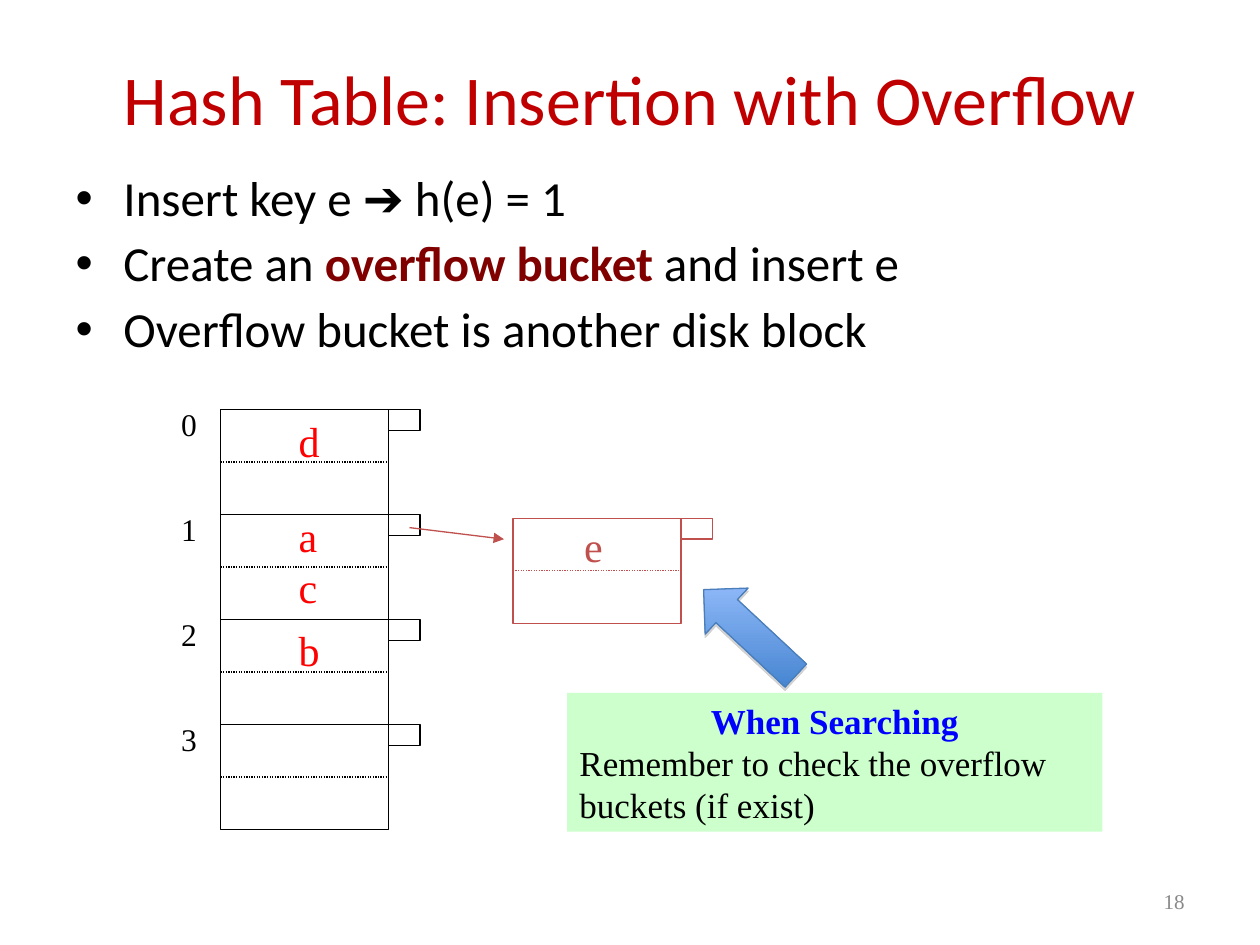
from lxml import etree
from pptx import Presentation
from pptx import util as u
from pptx.dml.color import RGBColor
from pptx.enum import dml, shapes, text
from pptx.oxml import parse_xml
from pptx.oxml.ns import nsdecls, qn

THEME = {
    "sans": "Calibri", "serif": "Times New Roman", "symbol": "Arial",
    "title": "C00000", "ink": "000000", "strong": "800000", "key": "FF0000",
    "overflow": "C0504D", "paper": "FFFFFF", "note": "CCFFCC",
    "heading": "0000FF", "muted": "898989", "arrow_line": "4A7EBB",
    "arrow_from": "9BC1FF", "arrow_to": "3F80CD",
    "title_pt": 40, "body_pt": 28, "key_pt": 24, "note_pt": 20,
    "index_pt": 18, "number_pt": 12, "line_pt": 0.75,
}

prs = Presentation()
prs.slide_width, prs.slide_height = u.Inches(10), u.Inches(7.5)
COL = prs.slide_width // 120   # the grid has 120 columns and 90 rows
ROW = prs.slide_height // 90
s = prs.slides.add_slide(prs.slide_layouts[1])


def box(x, y, w, h, fill=None, line=None, kind=shapes.MSO_SHAPE.RECTANGLE):
    """Add a shape, or a text box when it has neither fill nor line."""
    area = [round(v) for v in (x * COL, y * ROW, w * COL, h * ROW)]
    if not (fill or line):
        return s.shapes.add_textbox(*area)
    sp = s.shapes.add_shape(kind, *area)
    sp.shadow.inherit = False
    if fill:
        sp.fill.solid()
        sp.fill.fore_color.rgb = RGBColor.from_string(THEME[fill])
    if line:
        sp.line.color.rgb = RGBColor.from_string(THEME[line])
        sp.line.width = u.Pt(THEME["line_pt"])
    else:
        sp.line.fill.background()
    return sp


def style(p, size, color, font="serif", align=text.PP_ALIGN.CENTER):
    p.alignment = align
    for r in p.runs:
        r.font.size = u.Pt(THEME[size])
        r.font.name = THEME[font]
        r.font.color.rgb = RGBColor.from_string(THEME[color])


# Title
sp = s.shapes.title
sp.left, sp.top, sp.width, sp.height = 6 * COL, round(3.6 * ROW), 108 * COL, round(11.4 * ROW)
tf = sp.text_frame
tf.text = "Hash Table: Insertion with Overflow"
tf.vertical_anchor = text.MSO_ANCHOR.MIDDLE
tf.auto_size = text.MSO_AUTO_SIZE.NONE
style(tf.paragraphs[0], "title_pt", "title", "sans")

# Bullet list, as (wording, font, colour) runs
bullets = [
    [("Insert key e ", "sans", "ink"), ("➔", "symbol", "ink"), (" h(e) = 1", "sans", "ink")],
    [("Create an ", "sans", "ink"), ("overflow bucket ", "sans", "strong"),
     ("and insert e", "sans", "ink")],
    [("Overflow bucket is another disk block", "sans", "ink")],
]
sp = s.placeholders[1]
sp.left, sp.top, sp.width, sp.height = 6 * COL, 16 * ROW, 92 * COL, 19 * ROW
tf = sp.text_frame
tf.auto_size = text.MSO_AUTO_SIZE.NONE
for i, runs in enumerate(bullets):
    p = tf.add_paragraph() if i else tf.paragraphs[0]
    pPr = p._p.get_or_add_pPr()
    pPr.set("marL", str(u.Inches(0.38)))
    pPr.set("indent", str(-u.Inches(0.38)))
    etree.SubElement(pPr, qn("a:buChar"), char="•")
    p.line_spacing = 0.9
    p.space_before = u.Pt(7 if i else 0)
    for wording, font, color in runs:
        r = p.add_run()
        r.text = wording
        r.font.size = u.Pt(THEME["body_pt"])
        r.font.name = THEME[font]
        r.font.bold = color == "strong"
        r.font.color.rgb = RGBColor.from_string(THEME[color])

# Buckets with a pointer cell and a dotted divider: x, y, colour
LEFT, TOP, WIDTH, HEIGHT = 21, 39, 16, 10
over_x, over_y = 48.85, 49.35
buckets = [(LEFT, TOP + HEIGHT * i, "ink") for i in range(4)]
buckets.append((over_x, over_y, "overflow"))
lines = []
for x, y, color in buckets:
    box(x, y, WIDTH, HEIGHT, "paper", color)
    box(x + WIDTH, y, 3, 2, "paper", color)
    lines.append((x, y + HEIGHT / 2, x + WIDTH, y + HEIGHT / 2, color))

# Dividers, then the pointer to the overflow bucket
lines.append((LEFT + 18, 50.25, 48, 51.35, "overflow"))
for x1, y1, x2, y2, color in lines:
    ln = s.shapes.add_connector(
        shapes.MSO_CONNECTOR.STRAIGHT,
        round(x1 * COL), round(y1 * ROW), round(x2 * COL), round(y2 * ROW))
    ln.line.color.rgb = RGBColor.from_string(THEME[color])
    ln.line.width = u.Pt(THEME["line_pt"])
    if y1 == y2:
        ln.line.dash_style = dml.MSO_LINE.ROUND_DOT
    else:
        etree.SubElement(ln.line._get_or_add_ln(), qn("a:tailEnd"), type="triangle")
    etree.SubElement(ln._element.spPr, qn("a:effectLst"))

# Bucket numbers and keys: wording, centre x, centre y, size, colour
labels = [(str(i), 18, TOP + 1.4 + HEIGHT * i, "index_pt", "ink") for i in range(4)]
labels += [(key, 29.25, y, "key_pt", "key")
           for key, y in (("d", 42), ("a", 51), ("c", 55.9), ("b", 61.9))]
labels.append(("e", 56.45, 52, "key_pt", "overflow"))
for wording, x, y, size, color in labels:
    tf = box(x - 2, y - 3, 4, 6).text_frame
    tf.text = wording
    tf.word_wrap = False
    tf.vertical_anchor = text.MSO_ANCHOR.MIDDLE
    style(tf.paragraphs[0], size, color)

# Block arrow from the note to the overflow bucket
sp = box(65.4, 57.25, 12, 6, "arrow_to", "arrow_line", shapes.MSO_SHAPE.LEFT_ARROW)
sp.rotation = 43
sp.fill.gradient()
sp.fill.gradient_angle = 360 - 47
for stop, color, position in zip(sp.fill.gradient_stops, ("arrow_from", "arrow_to"), (0, 1)):
    stop.color.rgb = RGBColor.from_string(THEME[color])
    stop.position = position
sp._element.spPr.find(qn("a:effectLst")).append(parse_xml(
    f'<a:outerShdw {nsdecls("a")} dist="{u.Pt(1.8)}" dir="5400000" rotWithShape="0">'
    '<a:srgbClr val="808080"><a:alpha val="35000"/></a:srgbClr></a:outerShdw>'))

# Note
tf = box(54, 66, 51, 13.2, "note").text_frame
tf.word_wrap = True
tf.vertical_anchor = text.MSO_ANCHOR.TOP
tf.text = "When Searching\nRemember to check the overflow buckets (if exist)"
heading, advice = tf.paragraphs
style(heading, "note_pt", "heading")
heading.runs[0].font.bold = True
style(advice, "note_pt", "ink", align=text.PP_ALIGN.LEFT)

# Slide number
tf = box(86, 83.4, 28, 4.8).text_frame
tf.text = "18"
tf.word_wrap = True
tf.vertical_anchor = text.MSO_ANCHOR.MIDDLE
style(tf.paragraphs[0], "number_pt", "muted", align=text.PP_ALIGN.RIGHT)

prs.save("out.pptx")
